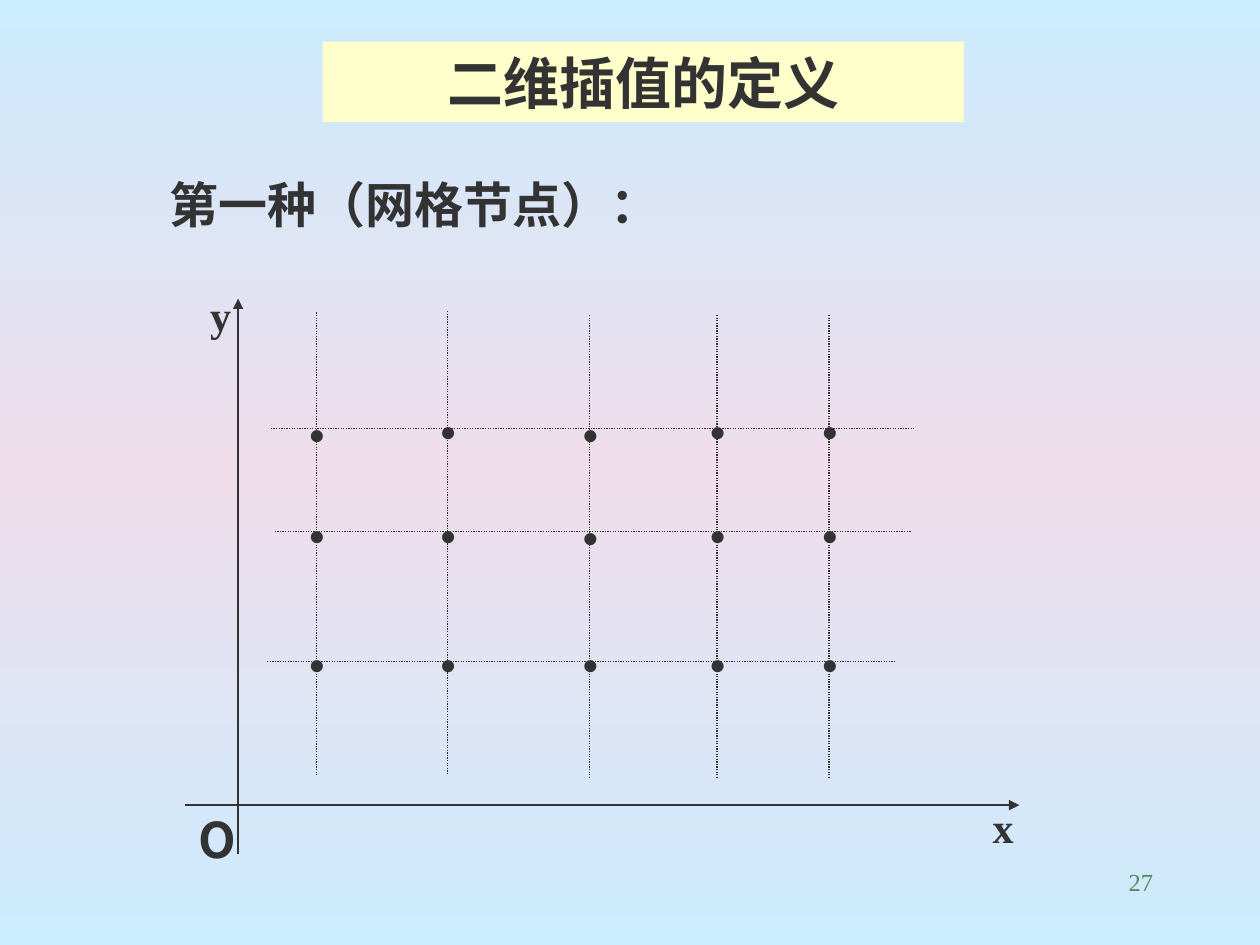
from copy import deepcopy
from typing import NamedTuple, Optional

from pptx import Presentation
from pptx.dml.color import RGBColor
from pptx.enum.dml import MSO_LINE
from pptx.enum.shapes import MSO_CONNECTOR
from pptx.enum.text import MSO_ANCHOR as ANCHOR, PP_ALIGN as ALIGN
from pptx.oxml.ns import qn
from pptx.oxml.xmlchemy import OxmlElement
from pptx.util import Inches, Pt

INK = RGBColor(0x33, 0x33, 0x33)
GREEN = RGBColor(0x57, 0x89, 0x63)
CREAM = RGBColor(0xFF, 0xFF, 0xCC)
SKY = RGBColor(0xCC, 0xEC, 0xFF)
PINK = RGBColor(0xEF, 0xDD, 0xEA)
SERIF, SANS, CJK = "Times New Roman", "Arial", "Noto Sans CJK SC"


class Label(NamedTuple):
    text: str
    x: float
    y: float
    w: float
    h: float = 0.5
    size: float = 24
    font: str = SERIF
    anchor: ANCHOR = ANCHOR.BOTTOM
    align: ALIGN = ALIGN.LEFT
    color: RGBColor = INK
    bold: bool = True
    fill: Optional[RGBColor] = None


class Line(NamedTuple):
    x1: float
    y1: float
    x2: float
    y2: float
    arrow: bool = False


def add_label(s, label: Label) -> None:
    sp = s.shapes.add_textbox(*map(Inches, (label.x, label.y, label.w, label.h)))
    if label.fill is not None:
        sp.fill.solid()
        sp.fill.fore_color.rgb = label.fill
    tf = sp.text_frame
    tf.word_wrap = True
    tf.vertical_anchor = label.anchor
    tf.text = label.text
    p = tf.paragraphs[0]
    p.alignment = label.align
    r = p.runs[0]
    r.font.name = label.font
    r.font.size = Pt(label.size)
    r.font.bold = label.bold
    r.font.color.rgb = label.color
    ea = OxmlElement("a:ea")
    ea.set("typeface", CJK)
    r.font._element.find(qn("a:latin")).addnext(ea)


def add_line(s, line: Line) -> None:
    ends = map(Inches, (line.x1, line.y1, line.x2, line.y2))
    sp = s.shapes.add_connector(MSO_CONNECTOR.STRAIGHT, *ends)
    sp.line.color.rgb = INK
    sp.line.width = Pt(0.75)
    if line.arrow:
        tail = OxmlElement("a:tailEnd")
        tail.set("type", "triangle")
        sp.line._get_or_add_ln().append(tail)
    else:
        sp.line.dash_style = MSO_LINE.ROUND_DOT
    sp._element.spPr.append(OxmlElement("a:effectLst"))


def set_background(s) -> None:
    fill = s.background.fill
    fill.gradient()
    fill.gradient_angle = 90
    stops = s._element.find(".//" + qn("a:gsLst"))
    stops.append(deepcopy(stops[0]))
    for stop, color, position in zip(fill.gradient_stops, (SKY, PINK, SKY), (0, 0.5, 1)):
        stop.color.rgb = color
        stop.position = position


# Grid lines: x with its top, y with its left and right ends
COLUMNS = [(2.51, 2.48), (3.55, 2.47), (4.68, 2.5), (5.69, 2.5), (6.58, 2.5)]
ROWS = [(3.4, 2.15, 7.25), (4.22, 2.18, 7.23), (5.25, 2.12, 7.11)]
COLUMN_HEIGHT = 3.67
# Nodes set slightly below their row, by (column, row)
NUDGES = {(0, 0): 0.02, (2, 0): 0.02, (2, 1): 0.02}

AXES = [Line(1.47, 6.39, 8.09, 6.39, True), Line(1.89, 6.78, 1.89, 2.37, True)]

LABELS = [
    Label("27", 7.17, 6.83, 2.08, size=14, anchor=ANCHOR.TOP, align=ALIGN.RIGHT,
          color=GREEN, bold=False),
    Label("二维插值的定义", 2.56, 0.33, 5.09, 0.64, 32, anchor=ANCHOR.MIDDLE,
          align=ALIGN.CENTER, fill=CREAM),
    Label("第一种（网格节点）：", 1.25, 1.33, 4.42, 0.57, 28, anchor=ANCHOR.MIDDLE),
    Label("x", 7.78, 6.31, 0.8),
    Label("y", 1.57, 2.25, 0.62),
    Label("O", 1.48, 6.37, 0.43, 0.57, 28, CJK),
]


def main() -> None:
    prs = Presentation()
    prs.slide_width, prs.slide_height = Inches(10), Inches(7.5)
    s = prs.slides.add_slide(prs.slide_layouts[6])
    set_background(s)

    # Axes and grid
    grid = [Line(x, top, x, top + COLUMN_HEIGHT) for x, top in COLUMNS]
    grid += [Line(left, y, right, y) for y, left, right in ROWS]
    for line in AXES + grid:
        add_line(s, line)

    # Nodes at the crossings
    for i, (x, _) in enumerate(COLUMNS):
        for j, (y, _, _) in enumerate(ROWS):
            top = y - 0.23 + NUDGES.get((i, j), 0)
            add_label(s, Label("•", x - 0.15, top, 0.61, font=SANS))

    # Title, heading, axis names and page number
    for label in LABELS:
        add_label(s, label)

    prs.save("out.pptx")


if __name__ == "__main__":
    main()
